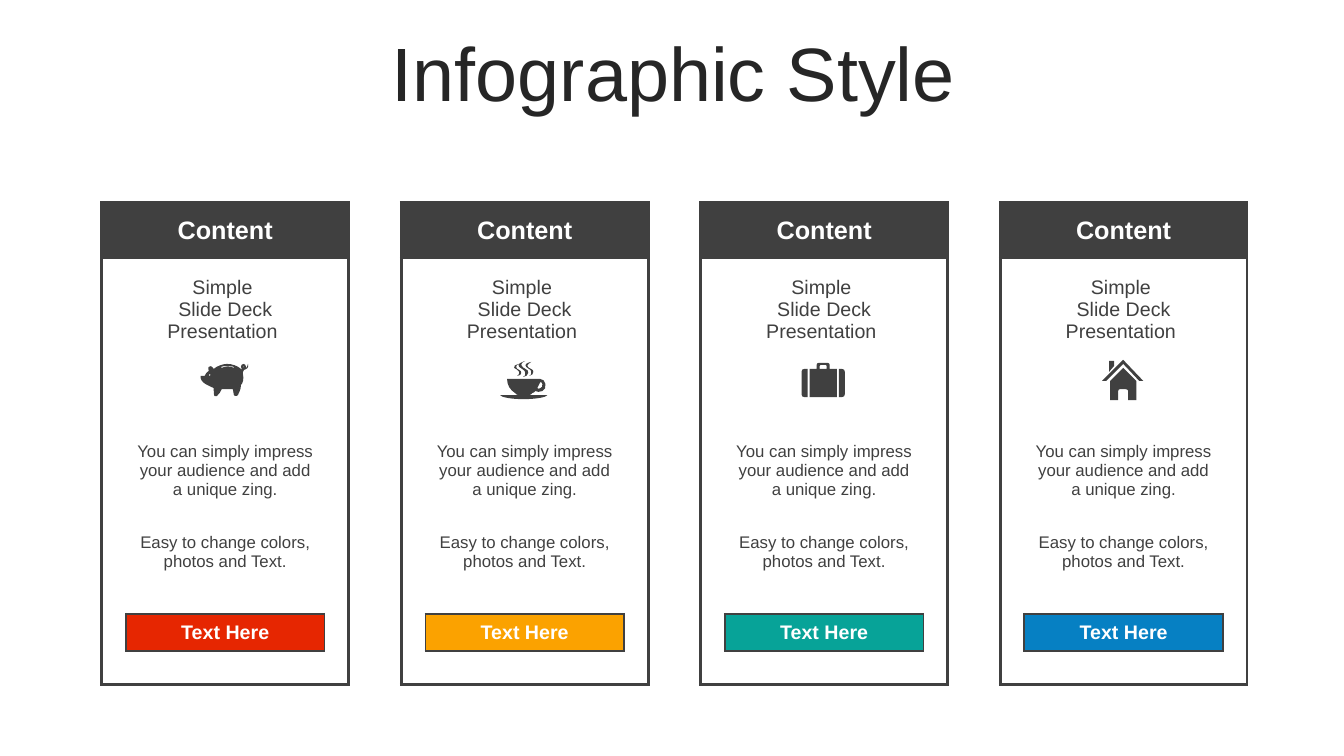
from lxml import etree
from pptx import Presentation
from pptx.dml.color import RGBColor
from pptx.enum.text import MSO_ANCHOR, PP_ALIGN
from pptx.oxml.ns import qn
from pptx.util import Inches, Pt

CENTER, MIDDLE = PP_ALIGN.CENTER, MSO_ANCHOR.MIDDLE
FONT = "Arial"
COLORS = {
    "title": "262626", "dark": "404040", "white": "FFFFFF",
    "red": "E62601", "amber": "FBA200", "teal": "07A398", "blue": "0680C3",
}

# Card grid, in inches
CARD_LEFT, CARD_TOP, CARD_PITCH = 1.01, 2.01, 2.97
COLUMNS = [0.23, 1.97, 0.23]
ROWS = [0.55, 1.02, 0.56, 1.06, 0.56, 0.33, 0.37, 0.33]
HEADER, FADED, BUTTON = 0, 3, 6  # header row, first translucent row, button row
FRAME_WIDTH, BUTTON_WIDTH = 2.25, 1.5

# Row of the middle column: text, size, colour, bold
CARD_TEXT = {
    HEADER: ("Content", 18, "white", True),
    1: ("Simple \nSlide Deck Presentation ", 14, "dark", False),
    3: ("You can simply impress your audience and add a unique zing.", 12, "dark", False),
    4: ("Easy to change colors, photos and Text.", 12, "dark", False),
    BUTTON: ("Text Here", 14, "white", True),
}

# Icon outlines in hundredths of an inch: M move, L line, C cubic curve
PIG = """
M 9 10 C 8 10 8 10 8 11 C 8 12 8 12 9 12 C 10 12 10 12 10 11 C 10 10 10 10 9 10
M 43 2 C 42 2 42 2 42 3 C 42 4 42 4 43 4 C 43 4 43 4 43 3 C 43 2 43 2 43 2
M 27 2 C 25 2 22 2 20 3 L 21 4 C 25 2 29 2 33 4 L 33 3 C 31 2 29 2 27 2
M 26 0 C 31 0 37 2 40 5 L 41 6 C 41 6 41 6 41 5 C 41 5 40 4 40 3 C 40 1 41 0 43 0
C 44 0 45 2 45 3 C 45 4 45 3 45 4 C 45 4 46 4 47 0 C 48 4 46 5 43 6 C 43 7 42 7 42 8
C 42 8 42 8 42 8 L 42 10 C 43 15 42 19 40 21 C 40 26 38 28 37 31 C 37 32 33 32 33 31
C 33 29 32 27 32 25 C 28 25 24 25 21 25 C 20 28 18 30 16 32 L 14 32
C 13 32 13 27 13 24 C 9 22 -1 19 0 12 C 0 12 2 12 4 12 C 5 10 6 8 8 7
C 8 5 7 3 8 3 C 11 1 12 4 13 5 C 16 2 23 0 26 0
"""
CUP = """
M 40 21 C 39 23 38 25 37 27 C 38 28 39 28 40 27 C 42 27 42 25 42 23 C 42 22 41 21 40 21
M 40 18 C 42 18 45 20 45 23 C 46 26 44 29 42 30 C 39 31 37 31 35 30 C 34 31 33 32 32 32
C 31 33 30 34 29 34 L 47 34 C 46 36 36 38 23 38 C 11 38 1 36 0 34 L 18 34
C 17 34 16 33 15 32 C 10 29 7 24 7 18
M 19 3 C 17 4 16 4 16 6 C 16 9 22 9 21 12 C 21 14 20 14 17 15
C 19 14 19 13 19 11 C 19 9 16 9 14 7 C 13 5 15 4 19 3
M 31 1 C 29 3 27 3 27 5 C 28 8 34 8 33 11 C 33 13 32 14 29 15
C 31 14 31 13 31 11 C 31 8 27 8 26 6 C 24 4 26 2 31 1
M 25 0 C 22 2 21 2 21 4 C 22 8 29 8 28 12 C 27 15 26 15 23 16
C 25 15 25 14 25 12 C 25 9 21 8 19 6 C 17 3 20 2 25 0
"""
SUITCASE = """
M 37 6 L 40 6 C 42 6 43 7 43 9 L 43 31 C 43 33 42 34 40 34 L 37 34
M 3 6 L 6 6 L 6 34 L 3 34 C 1 34 0 33 0 31 L 0 9 C 0 7 1 6 3 6
M 19 2 C 18 2 18 3 18 3 L 18 6 L 25 6 L 25 3 C 25 3 25 2 24 2
M 17 0 L 26 0 C 27 0 28 1 28 2 L 28 6 L 35 6 L 35 34 L 8 34 L 8 6 L 15 6 L 15 2
C 15 1 16 0 17 0
"""
HOUSE = """
M 21 8 L 34 21 L 34 40 L 26 40 L 26 31 C 26 30 25 29 23 29 L 18 29
C 17 29 16 30 16 31 L 16 40 L 8 40 L 8 21
M 7 1 L 12 1 L 12 6 L 7 12
M 21 0 L 41 21 L 37 21 L 21 4
M 21 0 L 21 4 L 4 21 L 0 21
"""

# Button colour, icon outline, icon offset inside the card
CARDS = [
    ("red", PIG, (0.98, 1.60)),
    ("amber", CUP, (0.98, 1.57)),
    ("teal", SUITCASE, (1.00, 1.59)),
    ("blue", HOUSE, (1.01, 1.56)),
]


def rgb(name):
    return RGBColor.from_string(COLORS[name])


def write(frame, text, size, color, bold=False):
    frame.text = text
    for paragraph in frame.paragraphs:
        paragraph.alignment = CENTER
        for run in paragraph.runs:
            font = run.font
            font.name, font.size, font.bold = FONT, Pt(size), bold
            font.color.rgb = rgb(color)


def add_title(slide, left, top, width, height):
    title = slide.shapes.add_textbox(left, top, width, height)
    frame = title.text_frame
    frame.word_wrap = True
    frame.vertical_anchor = MIDDLE
    write(frame, "Infographic Style", 54, "title")
    frame.paragraphs[0].line_spacing = 0.9


def border_width(row, col, side):
    """Width of one side of a card cell, or 0 where there is no line."""
    last_row, last_col = len(ROWS) - 1, len(COLUMNS) - 1
    button_sides = {(BUTTON, 0, "R"), (BUTTON, 2, "L"),
                    (BUTTON - 1, 1, "B"), (BUTTON + 1, 1, "T")}
    if (row, col) == (BUTTON, 1) or (row, col, side) in button_sides:
        return BUTTON_WIDTH
    framed = {"L": col == 0, "R": col == last_col,
              "T": row in (HEADER, HEADER + 1), "B": row in (HEADER, last_row)}
    return FRAME_WIDTH if framed[side] else 0


def set_borders(cell, row, col):
    properties = cell._tc.get_or_add_tcPr()
    for index, side in enumerate("LRTB"):
        width = border_width(row, col, side)
        line = etree.Element(qn(f"a:ln{side}"), w=str(Pt(width)))
        if width:
            fill = etree.SubElement(line, qn("a:solidFill"))
            etree.SubElement(fill, qn("a:srgbClr"), val=COLORS["dark"])
        else:
            etree.SubElement(line, qn("a:noFill"))
        properties.insert(index, line)


def fill_cell(cell, row, col, accent):
    is_button = (row, col) == (BUTTON, 1)
    color = "dark" if row == HEADER else accent if is_button else "white"
    cell.fill.solid()
    cell.fill.fore_color.rgb = rgb(color)
    if row >= FADED and not is_button:
        tint = cell._tc.tcPr.find(".//" + qn("a:srgbClr"))
        etree.SubElement(tint, qn("a:alpha"), val="20000")


def read_contour(contour):
    """Segments of one closed contour: one point for a line, three for a curve."""
    segments = []
    for segment in contour.replace("L", "|").replace("C", "|").split("|"):
        numbers = [int(number) for number in segment.split()]
        segments.append(list(zip(numbers[::2], numbers[1::2])))
    return segments


def bend_lines(icon, segments):
    """Turn the line to the end of each three-point segment into a curve."""
    steps = icon._element.iter(qn("a:moveTo"), qn("a:lnTo"))
    for step, points in zip(list(steps), segments):
        if len(points) == 3:
            curve = etree.Element(qn("a:cubicBezTo"))
            for x, y in points:
                etree.SubElement(curve, qn("a:pt"), x=str(x), y=str(y))
            step.getparent().replace(step, curve)


def add_icon(slide, outline, left, top):
    contours = [read_contour(part) for part in outline.split("M")[1:]]
    builder = slide.shapes.build_freeform(*contours[0][0][0], scale=Inches(0.01))
    for number, contour in enumerate(contours):
        if number:
            builder.move_to(*contour[0][0])
        builder.add_line_segments([points[-1] for points in contour[1:]], close=True)
    icon = builder.convert_to_shape(left, top)
    bend_lines(icon, sum(contours, []))
    icon.shadow.inherit = False
    icon.fill.solid()
    icon.fill.fore_color.rgb = rgb("dark")
    icon.line.fill.background()


def add_card(slide, left, top, accent, outline, icon_offset):
    # Framed table
    table = slide.shapes.add_table(len(ROWS), len(COLUMNS), left, top,
                                   Inches(sum(COLUMNS)), Inches(sum(ROWS))).table
    table.first_row = table.horz_banding = False
    for column, width in zip(table.columns, COLUMNS):
        column.width = Inches(width)
    for row, height in enumerate(ROWS):
        table.rows[row].height = Inches(height)
        for col in range(len(COLUMNS)):
            cell = table.cell(row, col)
            fill_cell(cell, row, col, accent)
            set_borders(cell, row, col)
            cell.vertical_anchor = MIDDLE
            if col == 1 and row in CARD_TEXT:
                write(cell.text_frame, *CARD_TEXT[row])
            else:
                cell.margin_top = cell.margin_bottom = 0
    # Icon
    add_icon(slide, outline, left + Inches(icon_offset[0]), top + Inches(icon_offset[1]))


def main():
    deck = Presentation()
    deck.slide_width, deck.slide_height = Inches(13.33), Inches(7.5)
    slide = deck.slides.add_slide(deck.slide_layouts[6])
    add_title(slide, Inches(0.35), Inches(0.37), Inches(12.66), Inches(0.79))
    for number, card in enumerate(CARDS):
        add_card(slide, Inches(CARD_LEFT + number * CARD_PITCH), Inches(CARD_TOP), *card)
    deck.save("out.pptx")


if __name__ == "__main__":
    main()
